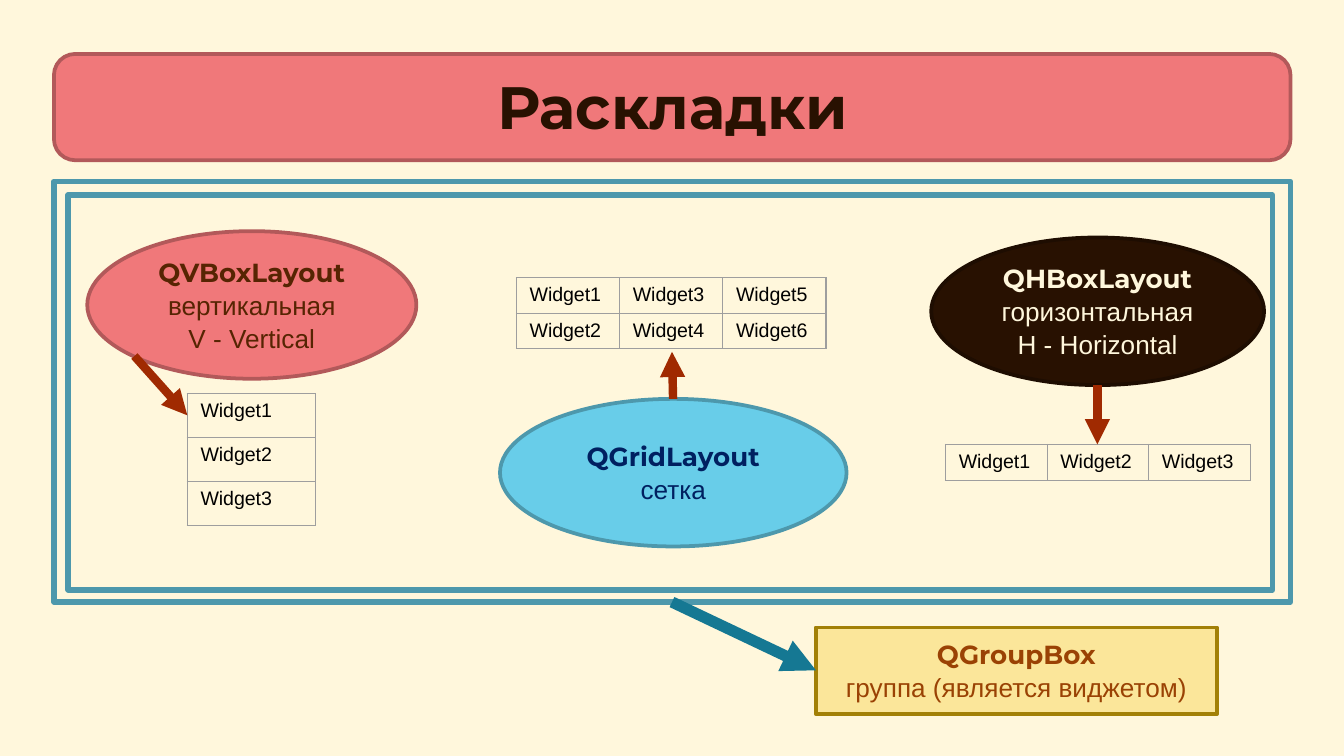
from lxml import etree
from pptx import Presentation
from pptx import util as u
from pptx.dml.color import RGBColor
from pptx.enum import shapes, text
from pptx.oxml import parse_xml
from pptx.oxml.ns import nsdecls, qn

COLORS = {
    "cream": "FFF7DC", "coral": "F0787A", "coral_edge": "B2595A",
    "dark": "281101", "dark_edge": "1E0D01", "brown": "562402",
    "sky": "68CDE9", "sky_edge": "4D98AC", "navy": "002060",
    "yellow": "FBE69A", "yellow_edge": "A28006", "rust": "9A4204",
    "teal": "157893", "red": "A02A01", "black": "000000", "grid": "9E9E9E",
}
HEADING, BODY = "Montserrat", "Arial"
Kind = shapes.MSO_SHAPE


def rgb(name):
    return RGBColor.from_string(COLORS[name])


def cm(*lengths):
    return [u.Cm(length) for length in lengths]


class LayoutSlide:
    """Draws on one slide; all positions are in centimetres."""

    def __init__(self, deck):
        self.slide = deck.slides.add_slide(deck.slide_layouts[5])
        self.shapes = self.slide.shapes
        backdrop = self.slide.background.fill
        backdrop.solid()
        backdrop.fore_color.rgb = rgb("cream")

    def style(self, paragraph, font, size, color, bold=False):
        for run in paragraph.runs:
            run.font.name = font
            run.font.size = u.Pt(size)
            run.font.bold = bold
            run.font.color.rgb = rgb(color)

    def title(self, wording, box):
        heading = self.shapes.title
        heading.left, heading.top, heading.width, heading.height = cm(*box)
        frame = heading.text_frame
        frame.text = wording
        frame.auto_size = text.MSO_AUTO_SIZE.NONE
        frame.vertical_anchor = text.MSO_ANCHOR.TOP
        frame.margin_left = frame.margin_right = u.Cm(0.25)
        frame.margin_top = frame.margin_bottom = u.Cm(0.25)
        frame.paragraphs[0].alignment = text.PP_ALIGN.CENTER
        self.style(frame.paragraphs[0], HEADING, 32, "dark", bold=True)
        # Bring the title in front of its banner.
        self.shapes._spTree.append(heading._element)

    def panel(self, kind, box, edge, fill=None, edge_width=2):
        panel = self.shapes.add_shape(kind, *cm(*box))
        panel.shadow.inherit = False
        if fill:
            panel.fill.solid()
            panel.fill.fore_color.rgb = rgb(fill)
        else:
            panel.fill.background()
        panel.line.color.rgb = rgb(edge)
        panel.line.width = u.Pt(edge_width)
        return panel

    def label(self, kind, box, edge, fill, color, lines):
        """A filled panel with a bold class name above its explanation."""
        frame = self.panel(kind, box, edge, fill).text_frame
        frame.text = "\n".join(lines)
        frame.word_wrap = True
        frame.vertical_anchor = text.MSO_ANCHOR.MIDDLE
        for number, paragraph in enumerate(frame.paragraphs):
            paragraph.alignment = text.PP_ALIGN.CENTER
            first = number == 0
            paragraph.line_spacing = 1.0 if first else 1.05
            self.style(paragraph, HEADING if first else BODY, 14, color, first)

    def widgets(self, left, top, column_width, row_height, rows, columns):
        """A table of widgets, numbered down each column in turn."""
        table = self.shapes.add_table(
            rows, columns,
            *cm(left, top, column_width * columns, row_height * rows)).table
        table.first_row = table.horz_banding = False
        for column in table.columns:
            column.width = u.Cm(column_width)
        for r, row in enumerate(table.rows):
            row.height = u.Cm(row_height)
            for c, cell in enumerate(row.cells):
                cell.text_frame.text = f"Widget{c * rows + r + 1}"
                cell.margin_left = cell.margin_right = u.Cm(0.25)
                cell.margin_top = cell.margin_bottom = u.Cm(0.12)
                self.style(cell.text_frame.paragraphs[0], BODY, 10.5, "black")
                self.border(cell)
                cell.fill.background()

    def border(self, cell):
        properties = cell._tc.get_or_add_tcPr()
        for side in ("lnL", "lnR", "lnT", "lnB"):
            properties.append(parse_xml(
                f'<a:{side} {nsdecls("a")} w="{u.Pt(0.75)}"><a:solidFill>'
                f'<a:srgbClr val="{COLORS["grid"]}"/></a:solidFill></a:{side}>'))

    def arrow(self, start, end, color, width):
        arrow = self.shapes.add_connector(
            shapes.MSO_CONNECTOR.STRAIGHT, *cm(*start, *end))
        arrow.line.color.rgb = rgb(color)
        arrow.line.width = u.Pt(width)
        etree.SubElement(arrow.line._get_or_add_ln(), qn("a:tailEnd"),
                         type="triangle")
        etree.SubElement(arrow._element.spPr, qn("a:effectLst"))


def main():
    deck = Presentation()
    deck.slide_width, deck.slide_height = cm(25.4, 14.29)
    page = LayoutSlide(deck)

    banner = page.panel(Kind.ROUNDED_RECTANGLE, (1.02, 1.02, 23.37, 2.01),
                        "coral_edge", "coral")
    banner.adjustments[0] = 0.2
    page.title("Раскладки", (2.01, 1.07, 21.41, 1.65))

    page.label(Kind.OVAL, (1.65, 4.37, 6.22, 2.79), "coral_edge", "coral",
               "brown", ["QVBoxLayout", "вертикальная", "V - Vertical"])
    page.label(Kind.OVAL, (9.45, 7.54, 6.55, 2.79), "sky_edge", "sky",
               "navy", ["QGridLayout", "сетка"])
    page.label(Kind.OVAL, (17.6, 4.49, 6.29, 2.79), "dark_edge", "dark",
               "cream", ["QHBoxLayout", "горизонтальная", "H - Horizontal"])

    for frame in ((1.02, 3.43, 23.37, 7.95), (1.29, 3.69, 22.76, 7.46)):
        page.panel(Kind.RECTANGLE, frame, "sky_edge", edge_width=3)
    page.label(Kind.RECTANGLE, (15.42, 11.86, 7.58, 1.64), "yellow_edge",
               "yellow", "rust", ["QGroupBox", "группа (является виджетом)"])
    page.arrow((12.7, 11.38), (15.42, 12.67), "teal", 6)

    page.widgets(3.54, 7.44, 2.42, 0.83, rows=3, columns=1)
    page.widgets(17.87, 8.4, 1.92, 0.68, rows=1, columns=3)
    page.widgets(9.76, 5.25, 1.95, 0.67, rows=2, columns=3)

    for start, end in (((2.54, 6.73), (3.54, 7.85)),
                       ((12.72, 7.54), (12.7, 6.65)),
                       ((20.74, 7.28), (20.74, 8.4))):
        page.arrow(start, end, "red", 4.5)

    deck.save("out.pptx")


if __name__ == "__main__":
    main()
